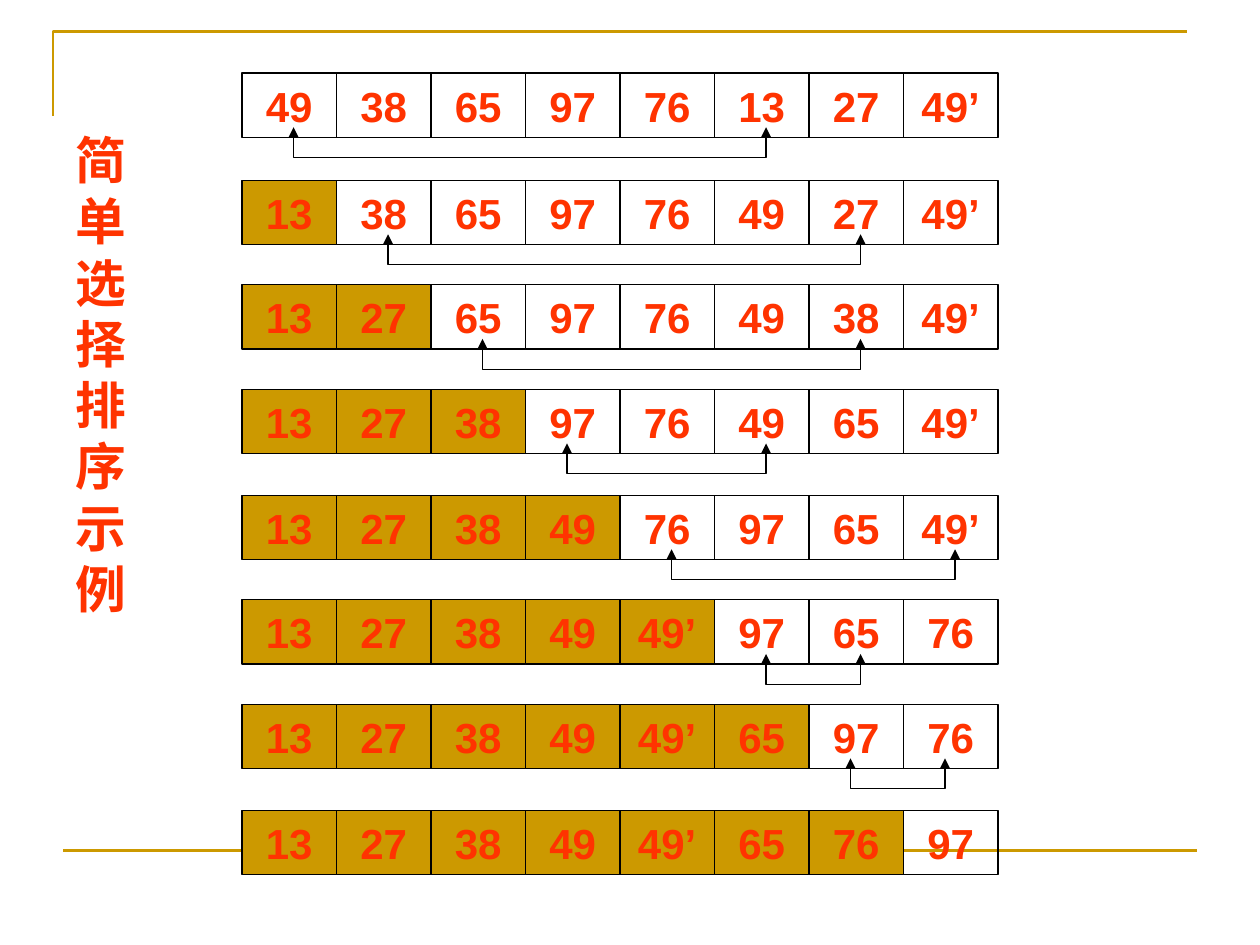
from lxml.etree import SubElement
from pptx import Presentation
from pptx.dml.color import RGBColor
from pptx.enum.shapes import MSO_CONNECTOR, MSO_SHAPE
from pptx.enum.text import MSO_ANCHOR, PP_ALIGN
from pptx.oxml.ns import qn
from pptx.util import Inches, Pt

GOLD, RED, BLACK = "CC9900", "FF3300", "000000"
LEFT, WIDE, HIGH = 1.92, 0.75, 0.51
TOPS = [0.58, 1.43, 2.26, 3.09, 3.93, 4.76, 5.59, 6.43]
NUMS = ["49", "38", "65", "97", "76", "13", "27", "49’"]

# Per pass: column of the smallest number, then the two arrow offsets in a cell
SWAPS = [
    (5, 0.41, 0.41),
    (6, 0.41, 0.41),
    (6, 0.41, 0.41),
    (5, 0.33, 0.41),
    (7, 0.41, 0.41),
    (6, 0.41, 0.41),
    (7, 0.33, 0.33),
]


def color(code):
    return RGBColor.from_string(code)


def stroke(shape, code, width):
    shape.line.color.rgb = color(code)
    shape.line.width = Pt(width)


def write(para, text, size):
    run = para.add_run()
    run.text = text
    font = run.font
    font.name, font.size, font.bold = "Arial", Pt(size), True
    font.color.rgb = color(RED)


def add_path(slide, points, code, width):
    spots = [(Inches(x), Inches(y)) for x, y in points]
    pen = slide.shapes.build_freeform(*spots[0])
    pen.add_line_segments(spots[1:], close=False)
    shape = pen.convert_to_shape()
    shape.shadow.inherit = False
    shape.fill.background()
    stroke(shape, code, width)
    return shape


def add_rule(slide, x1, x2, y):
    rule = slide.shapes.add_connector(
        MSO_CONNECTOR.STRAIGHT, Inches(x1), Inches(y), Inches(x2), Inches(y))
    stroke(rule, GOLD, 1.5)
    SubElement(rule.element.spPr, qn("a:effectLst"))


def add_title(slide, lines):
    title = slide.shapes.title
    title.left, title.top = Inches(0.5), Inches(0.92)
    title.width, title.height = Inches(0.75), Inches(4.92)
    frame = title.text_frame
    frame.word_wrap = True
    frame.vertical_anchor = MSO_ANCHOR.TOP
    frame.margin_top = Inches(0.1)
    para = frame.paragraphs[0]
    para.alignment = PP_ALIGN.JUSTIFY
    para.line_spacing = Pt(35)
    for i, line in enumerate(lines):
        if i:
            para.add_line_break()
        write(para, line, 29)


def add_cell(slide, col, top, text, done):
    cell = slide.shapes.add_shape(
        MSO_SHAPE.RECTANGLE, Inches(LEFT + col * WIDE), Inches(top),
        Inches(WIDE), Inches(HIGH))
    cell.shadow.inherit = False
    if done:
        cell.fill.solid()
        cell.fill.fore_color.rgb = color(GOLD)
    else:
        cell.fill.background()
    stroke(cell, BLACK, 0.75)
    frame = cell.text_frame
    frame.vertical_anchor = MSO_ANCHOR.MIDDLE
    para = frame.paragraphs[0]
    para.alignment = PP_ALIGN.CENTER
    write(para, text, 24)


def add_swap(slide, x1, x2, top):
    low = top + 0.24
    arrow = add_path(
        slide, [(x1, top), (x1, low), (x2, low), (x2, top)], BLACK, 0.75)
    line = arrow.element.spPr.find(qn("a:ln"))
    for end in ("a:headEnd", "a:tailEnd"):
        SubElement(line, qn(end), type="triangle")


def main():
    deck = Presentation()
    deck.slide_width, deck.slide_height = Inches(10), Inches(7.5)
    slide = deck.slides.add_slide(deck.slide_layouts[5])

    # Frame lines and title
    add_path(slide, [(0.42, 0.92), (0.42, 0.25), (9.42, 0.25)], GOLD, 1.5)
    add_rule(slide, 0.5, 9.5, 6.75)
    add_title(slide, ["简", "单", "选", "择", "排", "序", "示", "例"])

    # One row per pass; each pass swaps the smallest number into place
    nums = list(NUMS)
    for step, top in enumerate(TOPS):
        for col, num in enumerate(nums):
            add_cell(slide, col, top, num, col < step)
        if step < len(SWAPS):
            least, near, far = SWAPS[step]
            add_swap(slide, LEFT + step * WIDE + near,
                     LEFT + least * WIDE + far, top + 0.43)
            nums[step], nums[least] = nums[least], nums[step]

    deck.save("out.pptx")


if __name__ == "__main__":
    main()
